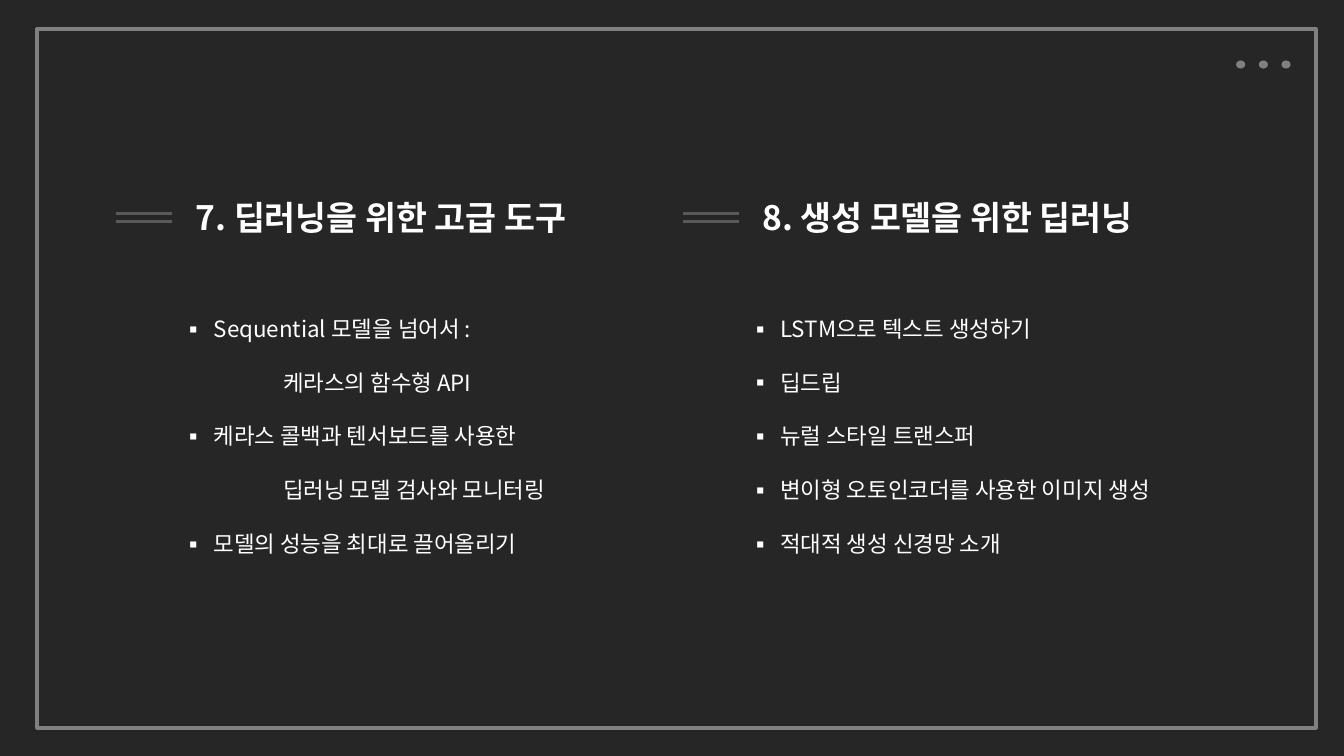
from lxml import etree
from pptx import Presentation
from pptx.dml.color import RGBColor
from pptx.enum import shapes, text
from pptx.oxml import ns
from pptx.util import Inches, Pt

BACKGROUND = RGBColor(0x26, 0x26, 0x26)
FRAME_GRAY = RGBColor(0x80, 0x80, 0x80)
RULE_GRAY = RGBColor(0x59, 0x59, 0x59)
WHITE = RGBColor(0xFF, 0xFF, 0xFF)
FONT = "Noto Sans CJK KR"

# Each list line: (has a bullet, wording)
CHAPTERS = [
    {"heading": "7. 딥러닝을 위한 고급 도구", "heading_width": 4.12, "list_width": 4.14,
     "lines": [(True, "Sequential 모델을 넘어서 :"),
               (False, "케라스의 함수형 API"),
               (True, "케라스 콜백과 텐서보드를 사용한"),
               (False, "딥러닝 모델 검사와 모니터링"),
               (True, "모델의 성능을 최대로 끌어올리기")]},
    {"heading": "8. 생성 모델을 위한 딥러닝", "heading_width": 4.15, "list_width": 4.65,
     "lines": [(True, "LSTM으로 텍스트 생성하기"),
               (True, "딥드립"),
               (True, "뉴럴 스타일 트랜스퍼"),
               (True, "변이형 오토인코더를 사용한 이미지 생성"),
               (True, "적대적 생성 신경망 소개")]},
]
COLUMN_LEFT, COLUMN_PITCH = 1.15, 5.62
RULE_LENGTH, RULE_TOPS = 0.56, (2.12, 2.2)
HEADING_OFFSET, LIST_OFFSET = 0.69, 0.56
BULLET_INDENT, CONTINUATION_INDENT = 0.31, 1
DOT_LEFT, DOT_PITCH = 12.26, 0.225


def place(shape, left, top, width, height):
    shape.left, shape.top = Inches(left), Inches(top)
    shape.width, shape.height = Inches(width), Inches(height)


def prepare_frame(placeholder):
    frame = placeholder.text_frame
    frame.word_wrap = False
    frame.auto_size = text.MSO_AUTO_SIZE.SHAPE_TO_FIT_TEXT
    frame.vertical_anchor = text.MSO_ANCHOR.TOP
    return frame


def format_paragraph(paragraph, size, bold, line_spacing):
    paragraph.space_before = Pt(0)
    paragraph.line_spacing = line_spacing
    for run in paragraph.runs:
        run.font.size, run.font.bold = Pt(size), bold
        run.font.name = FONT
        run.font.color.rgb = WHITE
        east_asian = etree.SubElement(run.font._element, ns.qn("a:ea"))
        east_asian.set("typeface", FONT)


def set_bullet(paragraph, bulleted):
    properties = paragraph._p.get_or_add_pPr()
    margin = BULLET_INDENT if bulleted else CONTINUATION_INDENT
    properties.set("marL", str(Inches(margin)))
    properties.set("indent", str(-Inches(BULLET_INDENT) if bulleted else 0))
    if bulleted:
        etree.SubElement(properties, ns.qn("a:buFont")).set("typeface", FONT)
        etree.SubElement(properties, ns.qn("a:buChar")).set("char", "▪")
    else:
        etree.SubElement(properties, ns.qn("a:buNone"))


def add_rule(slide, left, top):
    rule = slide.shapes.add_connector(
        shapes.MSO_CONNECTOR.STRAIGHT, Inches(left), Inches(top),
        Inches(left + RULE_LENGTH), Inches(top))
    rule.line.color.rgb = RULE_GRAY
    rule.line.width = Pt(2.25)
    etree.SubElement(rule._element.spPr, ns.qn("a:effectLst"))


def add_decoration(slide):
    for index in range(3):
        dot = slide.shapes.add_shape(
            shapes.MSO_SHAPE.OVAL, Inches(DOT_LEFT + index * DOT_PITCH),
            Inches(0.6), Inches(0.09), Inches(0.08))
        dot.shadow.inherit = False
        dot.fill.solid()
        dot.fill.fore_color.rgb = FRAME_GRAY
        dot.line.fill.background()
    border = slide.shapes.add_shape(
        shapes.MSO_SHAPE.RECTANGLE, Inches(0.37), Inches(0.29), Inches(12.68), Inches(6.93))
    border.shadow.inherit = False
    border.fill.background()
    border.line.color.rgb = FRAME_GRAY
    border.line.width = Pt(3)


def add_chapter(slide, chapter, left, heading, body):
    place(heading, left + HEADING_OFFSET, 1.9, chapter["heading_width"], 0.5)
    frame = prepare_frame(heading)
    frame.text = chapter["heading"]
    format_paragraph(frame.paragraphs[0], 24, True, 1)

    place(body, left + LIST_OFFSET, 2.81, chapter["list_width"], 2.79)
    frame = prepare_frame(body)
    frame.text = "\n".join(wording for _, wording in chapter["lines"])
    for paragraph, (bulleted, _) in zip(frame.paragraphs, chapter["lines"]):
        set_bullet(paragraph, bulleted)
        format_paragraph(paragraph, 16, False, 2)

    for top in RULE_TOPS:
        add_rule(slide, left, top)


def main():
    presentation = Presentation()
    presentation.slide_width, presentation.slide_height = Inches(13.33), Inches(7.5)
    comparison_layout = presentation.slide_layouts[4]
    slide = presentation.slides.add_slide(comparison_layout)
    slide.background.fill.solid()
    slide.background.fill.fore_color.rgb = BACKGROUND

    title, *columns = list(slide.placeholders)
    title._element.getparent().remove(title._element)
    add_decoration(slide)
    for index, chapter in enumerate(CHAPTERS):
        heading, body = columns[2 * index:2 * index + 2]
        add_chapter(slide, chapter, COLUMN_LEFT + index * COLUMN_PITCH, heading, body)
    presentation.save("out.pptx")


if __name__ == "__main__":
    main()
